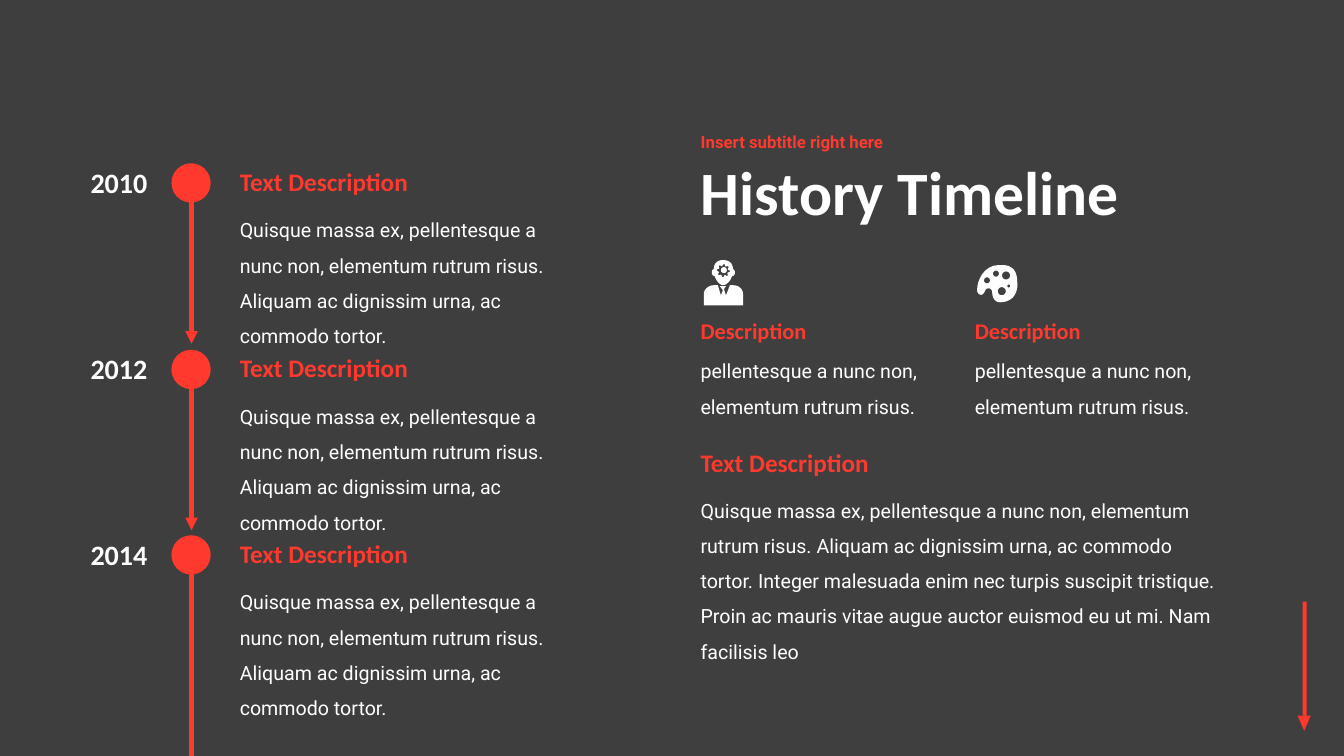
from math import cos, pi, sin

from lxml.etree import SubElement
from pptx import Presentation
from pptx.dml.color import RGBColor
from pptx.enum.shapes import MSO_CONNECTOR as Connector, MSO_SHAPE as Shape
from pptx.enum.text import MSO_ANCHOR as Anchor, MSO_AUTO_SIZE as AutoSize, PP_ALIGN as Align
from pptx.oxml.ns import qn
from pptx.util import Emu, Pt

PX = 9144
WIDTH, HEIGHT = 1333, 750
DARK, RED, WHITE = "3F3F3F", "FF392E", "FFFFFF"
HEAD_FONT, BODY_FONT = "Calibri", "Roboto"


def px(value):
    return Emu(round(value * PX))


def box(*lengths):
    return [px(length) for length in lengths]


def colour(value):
    return RGBColor.from_string(value)


def curve(start, *segments):
    points = [start]
    for c1, c2, end in segments:
        origin = points[-1]
        for step in range(1, 9):
            t = step / 8
            weights = ((1 - t) ** 3, 3 * t * (1 - t) ** 2, 3 * t * t * (1 - t), t ** 3)
            points.append(tuple(sum(w * p[axis] for w, p in zip(weights, (origin, c1, c2, end)))
                                for axis in (0, 1)))
    return points


def ring(x, y, radii, steps=32):
    return [(x + radii[i // 2 % len(radii)] * cos(2 * pi * i / steps),
             y + radii[i // 2 % len(radii)] * sin(2 * pi * i / steps)) for i in range(steps)]


class TimelineSlide:
    def __init__(self, deck):
        self.slide = deck.slides.add_slide(deck.slide_layouts[0])
        self.shapes = self.slide.shapes
        fill = self.slide.background.fill
        fill.solid()
        fill.fore_color.rgb = colour(DARK)

    def style(self, frame, text, size, font, tint, bold, spacing, align):
        frame.text = text
        frame.word_wrap = True
        paragraph = frame.paragraphs[0]
        paragraph.alignment = align
        paragraph.line_spacing = spacing
        paragraph.space_before = Pt(0)
        for run in paragraph.runs:
            run.font.size = Pt(size)
            run.font.name = font
            run.font.bold = bold
            run.font.color.rgb = colour(tint)

    def placeholder(self, index, at, text, size, font, tint):
        holder = self.slide.placeholders[index]
        holder.left, holder.top, holder.width, holder.height = box(*at)
        frame = holder.text_frame
        frame.vertical_anchor = Anchor.MIDDLE
        frame.auto_size = AutoSize.NONE
        self.style(frame, text, size, font, tint, True, 0.9, Align.LEFT)

    def text(self, at, text, size, font, tint, bold, spacing=1.0, align=Align.LEFT):
        frame = self.shapes.add_textbox(*box(*at)).text_frame
        self.style(frame, text, size, font, tint, bold, spacing, align)
        frame.auto_size = AutoSize.SHAPE_TO_FIT_TEXT

    def heading(self, at, text, size=18):
        self.text(at, text, size, HEAD_FONT, RED, True)

    def body(self, at, text):
        self.text(at, text, 14, BODY_FONT, WHITE, False, 1.5)

    def paint(self, shape, tint):
        shape.shadow.inherit = False
        shape.fill.solid()
        shape.fill.fore_color.rgb = colour(tint)
        shape.line.fill.background()
        return shape

    def solid(self, kind, at, tint, rotation=0):
        shape = self.paint(self.shapes.add_shape(kind, *box(*at)), tint)
        shape.rotation = rotation
        return shape

    def panel(self, at):
        panel = self.solid(Shape.RECTANGLE, at, DARK)
        panel.fill.gradient()
        panel.fill.gradient_angle = 270
        for stop, position in zip(panel.fill.gradient_stops, (0, 1)):
            stop.color.rgb = colour(DARK)
            stop.position = position
        first_colour = panel._element.spPr.find(".//" + qn("a:srgbClr"))
        SubElement(first_colour, qn("a:alpha"), val="80000")

    def outline(self, *contours):
        start, *rest = [box(*point) for point in contours[0]]
        builder = self.shapes.build_freeform(*start)
        builder.add_line_segments(rest)
        for contour in contours[1:]:
            start, *rest = [box(*point) for point in contour]
            builder.move_to(*start)
            builder.add_line_segments(rest)
        return self.paint(builder.convert_to_shape(), WHITE)

    def arrow(self, x, top, bottom):
        line = self.shapes.add_connector(Connector.STRAIGHT, *box(x, top, x, bottom))
        line.line.color.rgb = colour(RED)
        line.line.width = Pt(3)
        properties = line._element.spPr
        SubElement(properties.find(qn("a:ln")), qn("a:tailEnd"), type="triangle")
        SubElement(properties, qn("a:effectLst"))

    def person(self):
        left_shoulder = curve((698, 292), ((698, 287), (703, 283), (708, 283)))
        right_shoulder = curve((727, 283), ((733, 283), (737, 287), (737, 292)))
        tie = [(712, 283), (715, 293), (717, 288), (714, 284),
               (720, 284), (718, 287), (720, 293), (724, 283)]
        bust = self.outline([(698, 303), *left_shoulder, *tie, *right_shoulder, (737, 303)])
        face = curve((727, 267), ((727, 261), (723, 258), (717, 258)),
                     ((712, 258), (708, 261), (708, 267)),
                     ((707, 267), (706, 269), (706, 270)),
                     ((706, 272), (707, 274), (709, 274)),
                     ((710, 278), (714, 283), (717, 283)),
                     ((721, 283), (725, 278), (726, 274)),
                     ((728, 274), (729, 272), (729, 270)),
                     ((729, 269), (728, 267), (727, 267)))
        head = self.outline(face, ring(717.5, 268.5, (6.5, 4.8)))
        hub = self.solid(Shape.OVAL, (715, 265, 6, 6), WHITE)
        self.shapes.add_group_shape([bust, head, hub])

    def palette(self):
        board = curve((991, 263), ((976, 263), (969, 278), (969, 288)),
                      ((969, 291), (974, 296), (977, 288)),
                      ((978, 285), (984, 285), (984, 290)),
                      ((984, 296), (987, 300), (992, 300)),
                      ((1007, 300), (1010, 287), (1009, 280)),
                      ((1009, 272), (1007, 262), (991, 263)))
        wells = [(979, 278, 3), (988, 271.5, 3), (993.5, 289, 4), (1000.5, 284, 1.5), (998, 273.5, 4)]
        self.outline(board, *(ring(x, y, (radius,)) for x, y, radius in wells)).rotation = 359.1

    def milestone(self, top, year, text):
        self.solid(Shape.OVAL, (170, top, 39, 39), RED)
        self.arrow(190, top + 38, 783 if year == "2014" else top + 179)
        self.text((57, top - 3, 99, 44), year, 20, HEAD_FONT, WHITE, True, align=Align.RIGHT)
        self.body((228, top + 38, 347, 112), text)
        self.heading((228, top - 2, 292, 40), "Text Description")


def main():
    deck = Presentation()
    deck.slide_width, deck.slide_height = box(WIDTH, HEIGHT)
    page = TimelineSlide(deck)
    page.solid(Shape.RECTANGLE, (1292, 597, 4, 113), RED)
    page.solid(Shape.ISOSCELES_TRIANGLE, (1287, 710, 13, 15), RED, 180)
    page.panel((0, 0, 632, HEIGHT))
    page.placeholder(0, (685, 142, 600, 103), "History Timeline", 44, HEAD_FONT, WHITE)
    page.placeholder(1, (685, 123, 600, 38), "Insert subtitle right here", 12, BODY_FONT, RED)

    summary = "Quisque massa ex, pellentesque a nunc non, elementum rutrum risus. Aliquam ac dignissim urna, ac commodo tortor."
    page.body((685, 478, 533, 148), summary + " Integer malesuada enim nec turpis suscipit tristique. "
              "Proin ac mauris vitae augue auctor euismod eu ut mi. Nam facilisis leo")
    page.heading((685, 439, 292, 40), "Text Description")

    for left, icon in ((685, page.person), (957, page.palette)):
        icon()
        page.body((left, 340, 253, 77), "pellentesque a nunc non, elementum rutrum risus.")
        page.heading((left, 310, 200, 37), "Description", 16)

    for top, year in ((162, "2010"), (347, "2012"), (531, "2014")):
        page.milestone(top, year, summary)
    deck.save("out.pptx")


if __name__ == "__main__":
    main()
